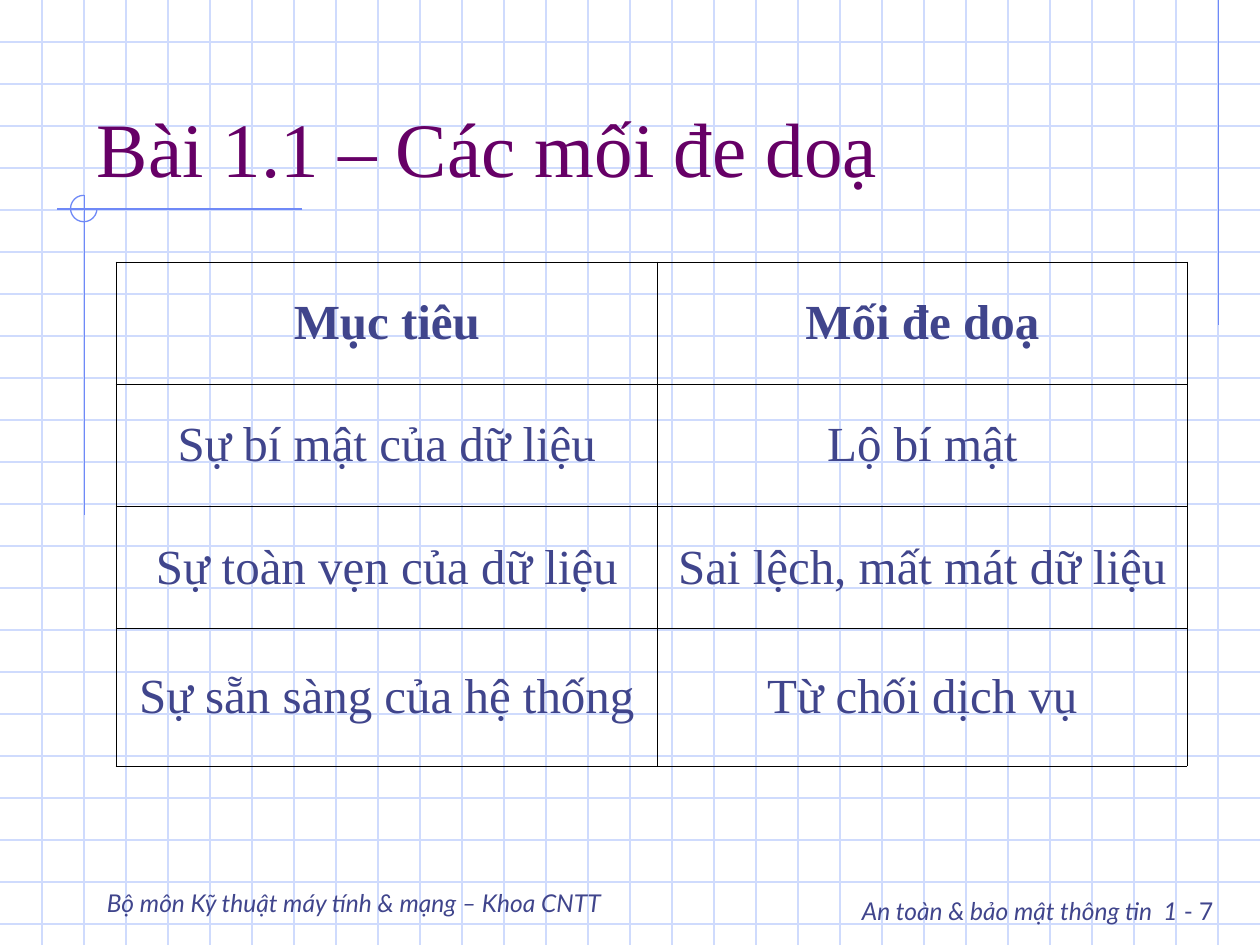
from dataclasses import dataclass

from lxml import etree
from pptx import Presentation
from pptx import util as u
from pptx.dml.color import RGBColor
from pptx.enum import shapes, text
from pptx.oxml.ns import qn


@dataclass(frozen=True)
class Theme:
    grid: str = "CFDBFD"
    accent: str = "6F89F7"
    title: str = "660066"
    body: str = "40458C"
    border: str = "000000"
    serif: str = "Times New Roman"
    sans: str = "Lato"
    title_size: int = 44
    table_size: int = 28
    gap_size: int = 24
    footer_size: int = 14
    line_width: float = 0.75
    border_width: float = 0.45


class SlideBuilder:
    def __init__(self, page, theme):
        self.page = page
        self.theme = theme

    def line(self, start, end, color):
        points = [u.Inches(value) for value in (*start, *end)]
        connector = self.page.shapes.add_connector(
            shapes.MSO_CONNECTOR.STRAIGHT, *points)
        connector.line.color.rgb = RGBColor.from_string(color)
        connector.line.width = u.Pt(self.theme.line_width)
        etree.SubElement(connector._element.spPr, qn("a:effectLst"))

    def arc(self, left, top, size, start, end):
        """Draw an arc clockwise between two angles in degrees."""
        arc = self.page.shapes.add_shape(
            shapes.MSO_SHAPE.ARC, u.Inches(left), u.Inches(top),
            u.Inches(size), u.Inches(size))
        # Angles are stored in 60000ths of a degree, adjustments in 100000ths
        arc.adjustments[0] = start * 0.6
        arc.adjustments[1] = end * 0.6
        arc.shadow.inherit = False
        arc.fill.background()
        arc.line.color.rgb = RGBColor.from_string(self.theme.accent)
        arc.line.width = u.Pt(self.theme.line_width)

    def format_run(self, span, font, size, color, bold=False, italic=False):
        span.font.name = font
        span.font.size = u.Pt(size)
        span.font.color.rgb = RGBColor.from_string(color)
        span.font.bold = bold
        span.font.italic = italic

    def text_box(self, bounds, spans, font, color,
                 anchor=text.MSO_ANCHOR.BOTTOM, align=text.PP_ALIGN.LEFT):
        """Add one paragraph; each span is (wording, size, italic)."""
        box = self.page.shapes.add_textbox(*[u.Inches(value) for value in bounds])
        frame = box.text_frame
        frame.word_wrap = True
        frame.vertical_anchor = anchor
        para = frame.paragraphs[0]
        para.alignment = align
        for wording, size, italic in spans:
            span = para.add_run()
            span.text = wording
            self.format_run(span, font, size, color, italic=italic)

    def cell_borders(self, cell):
        properties = cell._tc.get_or_add_tcPr()
        width = str(int(u.Pt(self.theme.border_width)))
        for side in ("lnL", "lnR", "lnT", "lnB"):
            edge = etree.SubElement(properties, qn(f"a:{side}"), w=width)
            fill = etree.SubElement(edge, qn("a:solidFill"))
            etree.SubElement(fill, qn("a:srgbClr"), val=self.theme.border)

    def table(self, left, top, widths, heights, rows):
        table = self.page.shapes.add_table(
            len(rows), len(widths), u.Inches(left), u.Inches(top),
            u.Inches(sum(widths)), u.Inches(sum(heights))).table
        table.horz_banding = False
        for column, width in zip(table.columns, widths):
            column.width = u.Inches(width)
        for index, (row, height) in enumerate(zip(table.rows, heights)):
            row.height = u.Inches(height)
            for cell, wording in zip(row.cells, rows[index]):
                self.cell_borders(cell)
                cell.fill.background()
                cell.vertical_anchor = text.MSO_ANCHOR.MIDDLE
                cell.text_frame.text = wording
                para = cell.text_frame.paragraphs[0]
                para.alignment = text.PP_ALIGN.CENTER
                self.format_run(para.runs[0], self.theme.serif,
                                self.theme.table_size, self.theme.body,
                                bold=index == 0)


def main():
    theme = Theme()
    width, height = 10, 7.5
    deck = Presentation()
    deck.slide_width = u.Inches(width)
    deck.slide_height = u.Inches(height)
    builder = SlideBuilder(deck.slides.add_slide(deck.slide_layouts[6]), theme)

    # Background grid, three squares to the inch
    for step in range(1, 23):
        builder.line((0, step / 3), (width, step / 3), theme.grid)
    for step in range(1, 30):
        builder.line((step / 3, 0), (step / 3, height), theme.grid)

    # Accent lines and the open circle where they cross
    builder.line((9.67, 0), (9.67, 2.58), theme.accent)
    builder.line((2.4, 1.66), (0.45, 1.66), theme.accent)
    builder.line((0.67, 1.55), (0.67, 4.09), theme.accent)
    builder.arc(0.56, 1.55, 0.21, 0, 270)

    # Footers
    size = theme.footer_size
    builder.text_box(
        (6.33, 6.92, 3.4, 0.5),
        [("An toàn & bảo mật thông tin", size, True),
         (" ", theme.gap_size, False),
         ("1", size, True),
         (" - 7", size, False)],
        theme.sans, theme.body, text.MSO_ANCHOR.TOP, text.PP_ALIGN.RIGHT)
    builder.text_box(
        (0.75, 6.83, 5.58, 0.5),
        [("Bộ môn Kỹ thuật máy tính & mạng – Khoa CNTT", size, True)],
        theme.sans, theme.body)

    # Title
    builder.text_box(
        (0.67, 0.33, 8.5, 1.25),
        [("Bài 1.1 – Các mối đe doạ", theme.title_size, False)],
        theme.serif, theme.title)

    # Goals and threats
    builder.table(0.92, 2.08, (4.3, 4.2), (0.97, 0.97, 0.97, 1.09), [
        ("Mục tiêu", "Mối đe doạ"),
        ("Sự bí mật của dữ liệu", "Lộ bí mật"),
        ("Sự toàn vẹn của dữ liệu", "Sai lệch, mất mát dữ liệu"),
        ("Sự sẵn sàng của hệ thống", "Từ chối dịch vụ"),
    ])

    deck.save("out.pptx")


if __name__ == "__main__":
    main()
